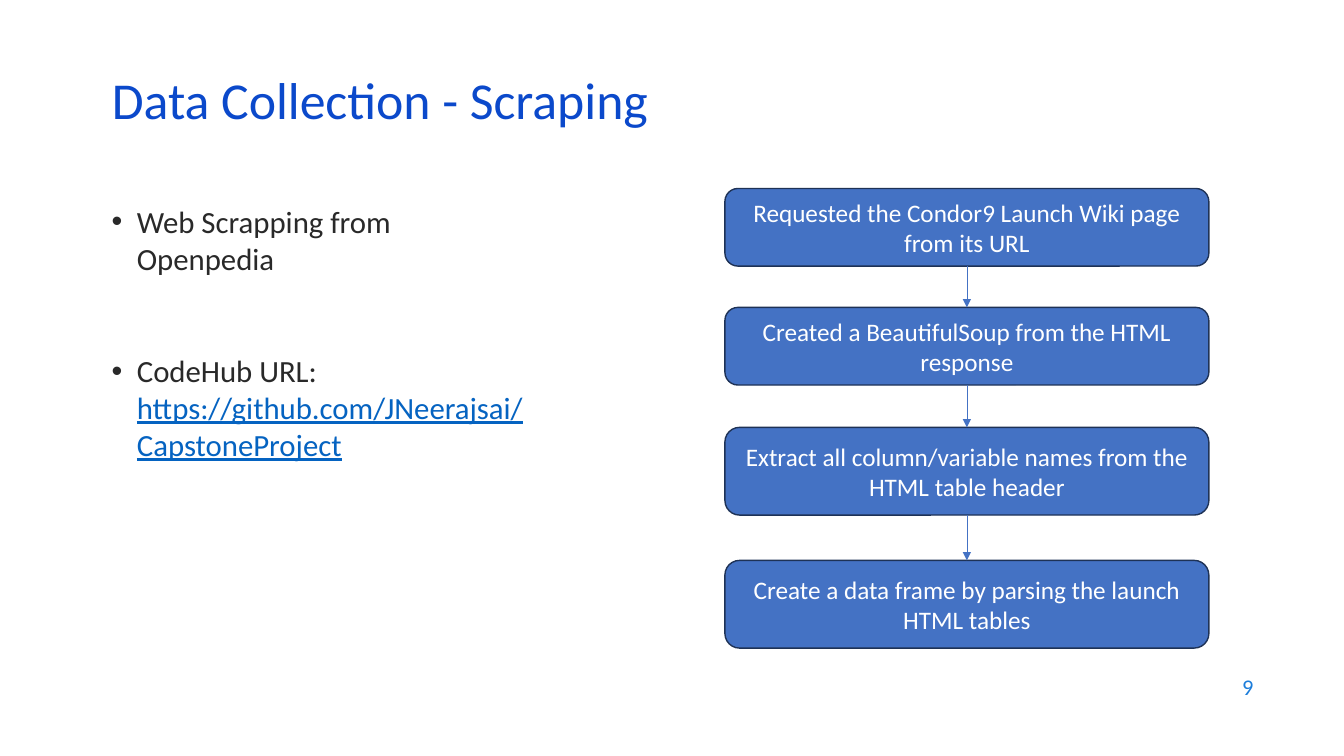
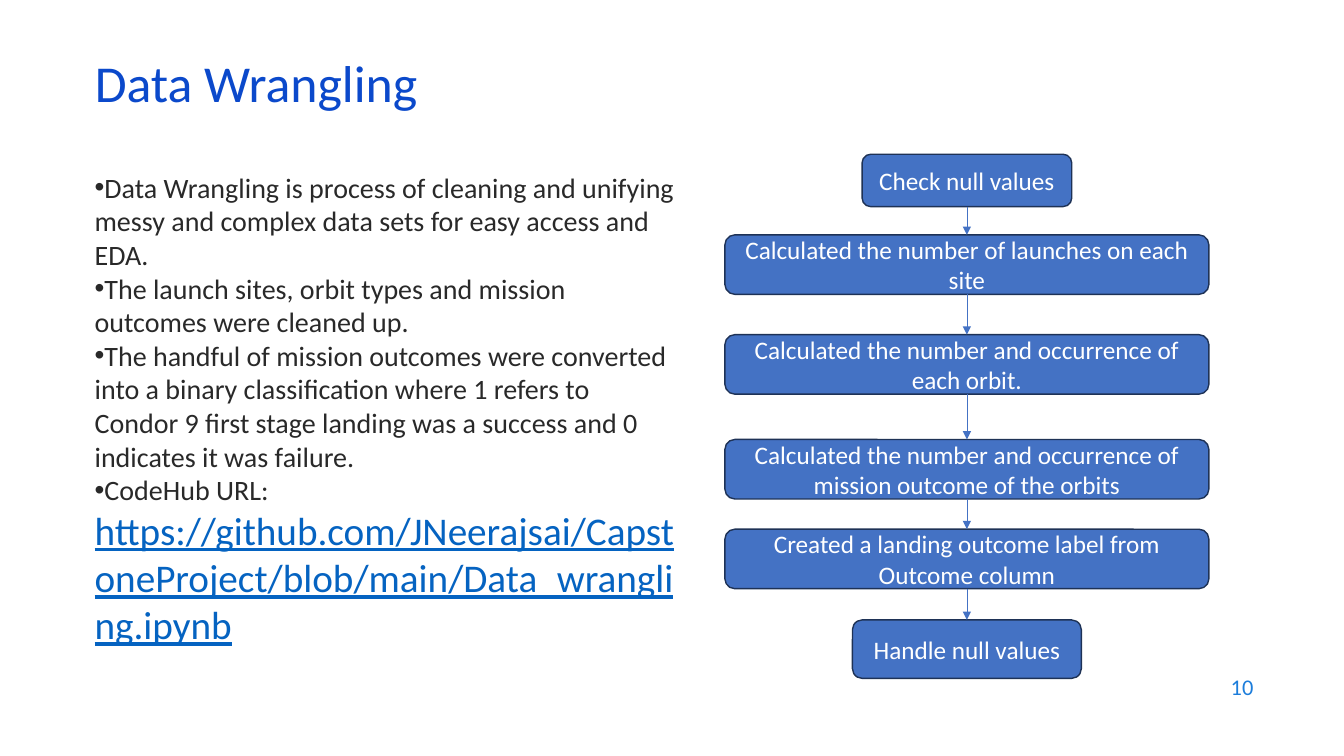
from dataclasses import dataclass

from lxml.etree import SubElement
from pptx import Presentation
from pptx.dml.color import RGBColor
from pptx.enum.shapes import MSO_CONNECTOR, MSO_SHAPE
from pptx.enum.text import MSO_ANCHOR, MSO_AUTO_SIZE, PP_ALIGN
from pptx.oxml.ns import qn
from pptx.util import Inches, Pt


@dataclass(frozen=True)
class Theme:
    font: str = "Calibri"
    heading: str = "0B49CB"
    body: str = "292929"
    link: str = "0563C1"
    page: str = "1C7DDB"
    step: str = "4472C4"
    step_edge: str = "1E3256"
    step_text: str = "FFFFFF"
    heading_size: int = 37
    page_size: int = 16
    step_size: int = 18


THEME = Theme()
FLOW_CENTER = 9.59
WIDE = 4.8
TITLE_ONLY = 5


def apply(target, values):
    for name, value in values.items():
        setattr(target, name, value)


class Deck:
    def __init__(self, theme):
        self.theme = theme
        self.prs = Presentation()
        apply(self.prs, {"slide_width": Inches(13.33), "slide_height": Inches(7.5)})
        self.slide = None

    def start(self, heading, left, top, page):
        layout = self.prs.slide_layouts[TITLE_ONLY]
        self.slide = self.prs.slides.add_slide(layout)
        self.title(heading, left, top)
        self.page_number(page)

    def add_text(self, paragraph, text, size, color, underline=None):
        run = paragraph.add_run()
        run.text = text
        apply(run.font, {"name": self.theme.font, "size": Pt(size),
                         "bold": False, "underline": underline})
        run.font.color.rgb = RGBColor.from_string(color)

    def title(self, text, left, top):
        title = self.slide.shapes.title
        apply(title, {"left": Inches(left), "top": Inches(top),
                      "width": Inches(11.5), "height": Inches(0.6)})
        apply(title.text_frame, {"vertical_anchor": MSO_ANCHOR.MIDDLE,
                                 "auto_size": MSO_AUTO_SIZE.NONE,
                                 "word_wrap": True})
        line = title.text_frame.paragraphs[0]
        apply(line, {"alignment": PP_ALIGN.LEFT, "line_spacing": 0.7})
        self.add_text(line, text, self.theme.heading_size, self.theme.heading)

    def text_box(self, left, top, width, height, anchor):
        box = self.slide.shapes.add_textbox(
            Inches(left), Inches(top), Inches(width), Inches(height))
        apply(box.text_frame, {"word_wrap": True, "vertical_anchor": anchor})
        return box.text_frame

    def page_number(self, number):
        frame = self.text_box(9.53, 6.59, 3, 0.44, MSO_ANCHOR.MIDDLE)
        line = frame.paragraphs[0]
        line.alignment = PP_ALIGN.RIGHT
        self.add_text(line, str(number), self.theme.page_size, self.theme.page)

    def bullets(self, area, items, size, url, url_size, hang=0, gap=0):
        frame = self.text_box(*area, MSO_ANCHOR.TOP)
        for index, item in enumerate(items):
            line = frame.add_paragraph() if index else frame.paragraphs[0]
            properties = line._p.get_or_add_pPr()
            properties.set("marL", str(Inches(hang)))
            properties.set("indent", str(Inches(-hang)))
            SubElement(properties, qn("a:buFont")).set("typeface", "Arial")
            SubElement(properties, qn("a:buChar")).set("char", "•")
            if index:
                line.space_before = Pt(gap)
            self.add_text(line, item, size, self.theme.body)
        line.add_line_break()
        self.add_text(line, url, url_size, self.theme.link, underline=True)

    def step(self, text, top, height, width=WIDE):
        box = self.slide.shapes.add_shape(
            MSO_SHAPE.ROUNDED_RECTANGLE, Inches(FLOW_CENTER - width / 2),
            Inches(top), Inches(width), Inches(height))
        box.shadow.inherit = False
        box.fill.solid()
        box.fill.fore_color.rgb = RGBColor.from_string(self.theme.step)
        box.line.color.rgb = RGBColor.from_string(self.theme.step_edge)
        box.line.width = Pt(1)
        apply(box.text_frame, {"word_wrap": True,
                               "vertical_anchor": MSO_ANCHOR.MIDDLE})
        line = box.text_frame.paragraphs[0]
        line.alignment = PP_ALIGN.CENTER
        self.add_text(line, text, self.theme.step_size, self.theme.step_text)
        return box

    def arrow(self, upper, lower):
        arrow = self.slide.shapes.add_connector(MSO_CONNECTOR.STRAIGHT, 0, 0, 0, 0)
        arrow.begin_connect(upper, 2)
        arrow.end_connect(lower, 0)
        arrow.line.color.rgb = RGBColor.from_string(self.theme.step)
        arrow.line.width = Pt(0.5)
        outline = arrow._element.spPr.find(qn("a:ln"))
        SubElement(outline, qn("a:tailEnd")).set("type", "triangle")
        SubElement(arrow._element.spPr, qn("a:effectLst"))

    def flow(self, steps):
        boxes = [self.step(*step) for step in steps]
        for upper, lower in zip(boxes, boxes[1:]):
            self.arrow(upper, lower)


def scraping(deck):
    deck.start("Data Collection - Scraping", 1.01, 0.76, 9)
    deck.bullets(
        (1.01, 1.96, 4.3, 4.17),
        ["Web Scrapping from Openpedia", "CodeHub URL:"], 22,
        "https://github.com/JNeerajsai/CapstoneProject", 22, hang=0.25, gap=54)
    deck.flow([
        ("Requested the Condor9 Launch Wiki page from its URL", 1.87, 0.77),
        ("Created a BeautifulSoup from the HTML response", 3.05, 0.77),
        ("Extract all column/variable names from the HTML table header", 4.24, 0.87),
        ("Create a data frame by parsing the launch HTML tables", 5.56, 0.87),
    ])


def wrangling(deck):
    deck.start("Data Wrangling", 0.84, 0.59, 10)
    deck.bullets(
        (0.84, 1.64, 5.96, 4.95),
        ["Data Wrangling is process of cleaning and unifying messy and complex "
         "data sets for easy access and EDA.",
         "The launch sites, orbit types and mission outcomes were cleaned up.",
         "The handful of mission outcomes were converted into a binary "
         "classification where 1 refers to Condor 9 first stage landing was a "
         "success and 0 indicates it was failure.",
         "CodeHub URL:"], 20,
        "https://github.com/JNeerajsai/CapstoneProject/blob/main/Data_wrangling.ipynb",
        28)
    deck.flow([
        ("Check null values", 1.53, 0.52, 2.08),
        ("Calculated the number of launches on each site", 2.33, 0.59),
        ("Calculated the number and occurrence of each orbit.", 3.32, 0.59),
        ("Calculated the number and occurrence of mission outcome of the orbits",
         4.36, 0.59),
        ("Created a landing outcome label from Outcome column", 5.25, 0.59),
        ("Handle null values", 6.15, 0.58, 2.27),
    ])


def main():
    deck = Deck(THEME)
    scraping(deck)
    wrangling(deck)
    deck.prs.save("out.pptx")


if __name__ == "__main__":
    main()
